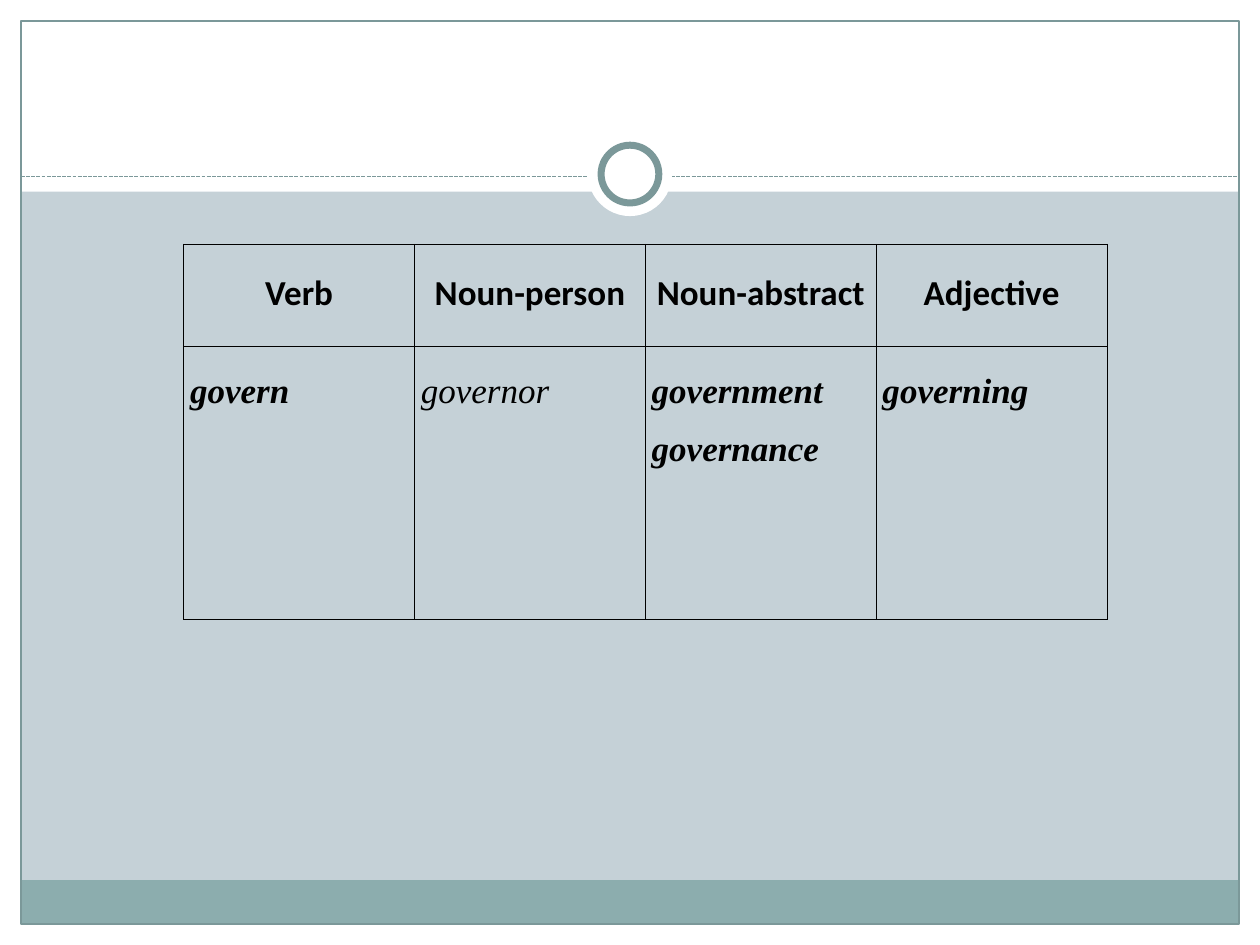
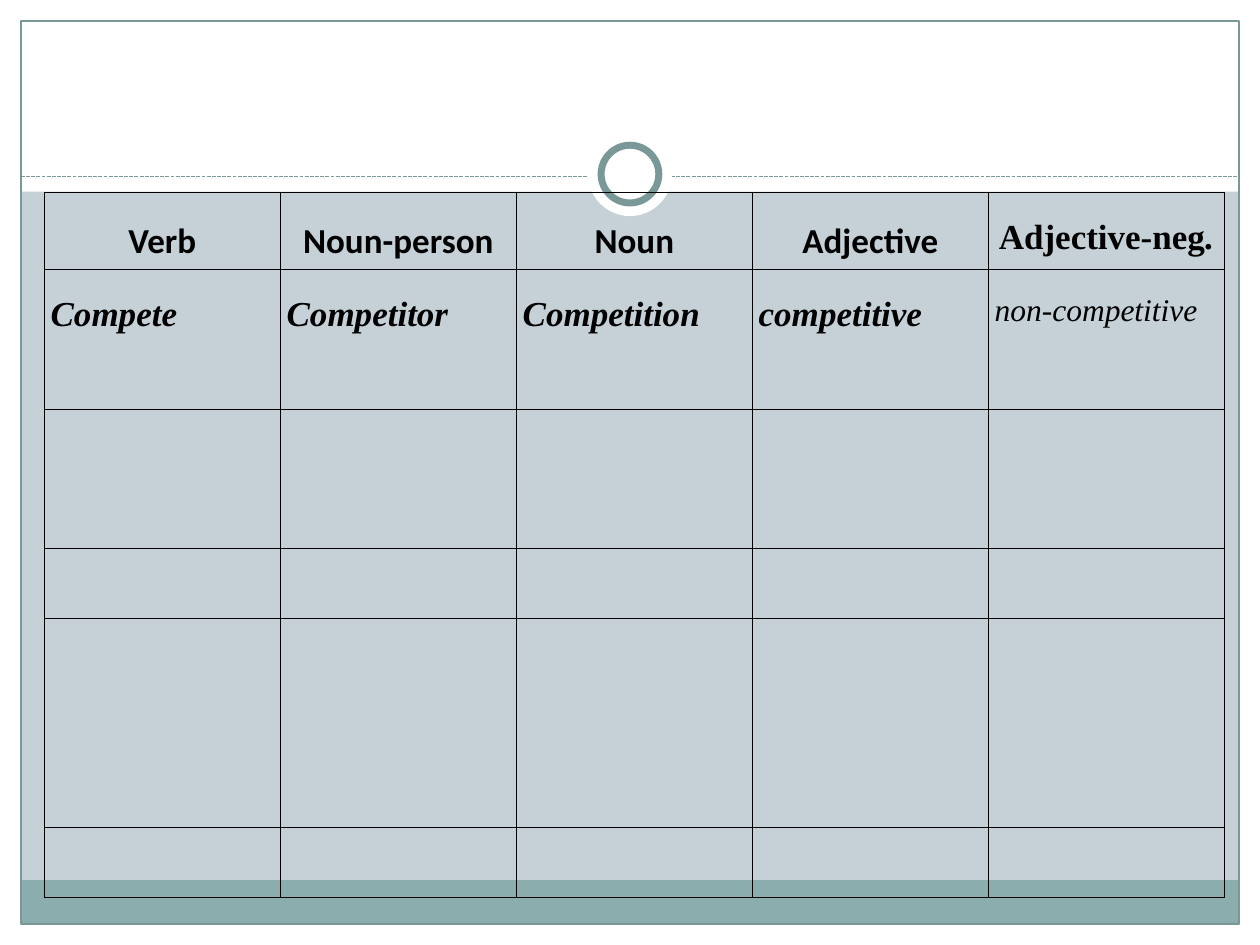
from dataclasses import dataclass
import pptx
import pptx.util
import pptx.dml.color
import pptx.enum.dml
import pptx.enum.shapes
import pptx.enum.text
import pptx.oxml

Pt = pptx.util.Pt
RGBColor = pptx.dml.color.RGBColor
MSO_SHAPE = pptx.enum.shapes.MSO_SHAPE
PP_ALIGN = pptx.enum.text.PP_ALIGN

WHITE = RGBColor(0xFF, 0xFF, 0xFF)
BLACK = RGBColor(0x00, 0x00, 0x00)
BACKGROUND = RGBColor(0xC5, 0xD1, 0xD7)
BAND = RGBColor(0x8C, 0xAD, 0xAE)
ACCENT = RGBColor(0x7B, 0x98, 0x99)

HEAD_FONT = "Calibri"
BODY_FONT = "Times New Roman"
WIDTH, HEIGHT, MARGIN = 720, 540, 12
RULE_Y = 100.8
A_NS = "http://schemas.openxmlformats.org/drawingml/2006/main"


@dataclass(frozen=True)
class Box:
    left: float
    top: float
    width: float
    height: float
    fill: RGBColor | None = None
    line: RGBColor | None = None
    weight: float = 0.75
    kind: MSO_SHAPE = MSO_SHAPE.RECTANGLE


@dataclass(frozen=True)
class Word:
    text: str
    font: str = BODY_FONT
    size: float = 20
    bold: bool = True
    italic: bool = True


@dataclass(frozen=True)
class Cell:
    lines: tuple[tuple[Word, ...], ...]
    align: PP_ALIGN = PP_ALIGN.LEFT


@dataclass(frozen=True)
class WordTable:
    left: float
    top: float
    column_width: float
    row_heights: tuple[float, ...]
    cells: tuple[tuple[Cell, ...], ...]


# Frame shared by the slides, from back to front
MARGINS_AND_BAND = (
    Box(0, HEIGHT - MARGIN, WIDTH, MARGIN, WHITE),
    Box(0, 0, WIDTH, 109.5, WHITE),
    Box(0, 0, MARGIN, HEIGHT, WHITE),
    Box(WIDTH - MARGIN, 0, MARGIN, HEIGHT, WHITE),
    Box(MARGIN, 503, WIDTH - 2 * MARGIN, 25, BAND),
    Box(MARGIN, MARGIN, WIDTH - 2 * MARGIN, HEIGHT - 2 * MARGIN, line=ACCENT),
)
RING = (
    Box(336, 75.5, 48, 48, WHITE, kind=MSO_SHAPE.OVAL),
    Box(343.5, 83, 33, 33, WHITE, ACCENT, 4, MSO_SHAPE.OVAL),
)


def head(text: str) -> Cell:
    return Cell(((Word(text, HEAD_FONT, italic=False),),), PP_ALIGN.CENTER)


def entry(*texts: str, size: float = 20, bold: bool = True) -> Cell:
    return Cell(tuple((Word(t, size=size, bold=bold),) for t in texts))


GOVERN = WordTable(
    105, 139.5, 131.9, (58.3, 156.2),
    (
        tuple(map(head, ("Verb", "Noun-person", "Noun-abstract", "Adjective"))),
        (entry("govern"), entry("governor", bold=False),
         entry("government", "governance"), entry("governing")),
    ),
)
NEGATIVE_HEAD = Cell(
    ((Word("Adjective-neg", italic=False), Word(".")),), PP_ALIGN.CENTER)
COMPETE = WordTable(
    25.3, 110, 134.9, (39.8, 79.8, 79.8, 39.8, 119.6, 39.8),
    (
        (*map(head, ("Verb", "Noun-person", "Noun", "Adjective")), NEGATIVE_HEAD),
        (*map(entry, ("Compete", "Competitor", "Competition", "competitive")),
         entry("non-competitive", size=18, bold=False)),
    ),
)


def add_text(p, text: str, *, font: str, size: float, bold: bool,
             italic: bool, color: RGBColor = BLACK) -> None:
    r = p.add_run()
    r.text = text
    r.font.name = font
    r.font.size = Pt(size)
    r.font.bold = bold
    r.font.italic = italic
    r.font.color.rgb = color


def add_box(s, box: Box) -> None:
    sp = s.shapes.add_shape(box.kind, Pt(box.left), Pt(box.top),
                            Pt(box.width), Pt(box.height))
    sp.shadow.inherit = False
    if box.fill is None:
        sp.fill.background()
    else:
        sp.fill.solid()
        sp.fill.fore_color.rgb = box.fill
    if box.line is None:
        sp.line.fill.background()
    else:
        sp.line.color.rgb = box.line
        sp.line.width = Pt(box.weight)


def add_dashed_rule(s) -> None:
    cxn = s.shapes.add_connector(
        pptx.enum.shapes.MSO_CONNECTOR.STRAIGHT,
        Pt(MARGIN), Pt(RULE_Y), Pt(WIDTH - MARGIN), Pt(RULE_Y))
    cxn.line.color.rgb = ACCENT
    cxn.line.width = Pt(0.75)
    cxn.line.dash_style = pptx.enum.dml.MSO_LINE.SQUARE_DOT
    cxn._element.spPr.append(pptx.oxml.parse_xml(f'<a:effectLst xmlns:a="{A_NS}"/>'))


def add_borders(cell, weight: float = 0.45) -> None:
    tcPr = cell._tc.get_or_add_tcPr()
    for i, side in enumerate("LRTB"):
        tcPr.insert(i, pptx.oxml.parse_xml(
            f'<a:ln{side} xmlns:a="{A_NS}" w="{int(Pt(weight))}"><a:solidFill>'
            f'<a:srgbClr val="{BLACK}"/></a:solidFill></a:ln{side}>'))


def fill_cell(cell, content: Cell) -> None:
    cell.margin_left = cell.margin_right = Pt(3.6)
    cell.margin_top = cell.margin_bottom = Pt(3.6)
    tf = cell.text_frame
    for i, line in enumerate(content.lines):
        p = tf.add_paragraph() if i else tf.paragraphs[0]
        p.alignment = content.align
        p.line_spacing = 1.5
        for word in line:
            add_text(p, word.text, font=word.font, size=word.size,
                     bold=word.bold, italic=word.italic)


def add_word_table(s, spec: WordTable) -> None:
    rows, cols = len(spec.row_heights), len(spec.cells[0])
    table = s.shapes.add_table(
        rows, cols, Pt(spec.left), Pt(spec.top),
        Pt(cols * spec.column_width), Pt(sum(spec.row_heights))).table
    table.first_row = table.horz_banding = False
    for column in table.columns:
        column.width = Pt(spec.column_width)
    for row, height in zip(table.rows, spec.row_heights):
        row.height = Pt(height)
    for cell in table.iter_cells():
        cell.fill.background()
        add_borders(cell)
    for r, contents in enumerate(spec.cells):
        for c, content in enumerate(contents):
            fill_cell(table.cell(r, c), content)


def add_slide(prs, spec: WordTable) -> None:
    s = prs.slides.add_slide(prs.slide_layouts[6])
    for box in MARGINS_AND_BAND:
        add_box(s, box)
    add_dashed_rule(s)
    for box in RING:
        add_box(s, box)
    add_word_table(s, spec)


def main() -> None:
    prs = pptx.Presentation()
    prs.slide_width, prs.slide_height = Pt(WIDTH), Pt(HEIGHT)
    fill = prs.slide_master.background.fill
    fill.solid()
    fill.fore_color.rgb = BACKGROUND
    for spec in (GOVERN, COMPETE):
        add_slide(prs, spec)
    prs.save("out.pptx")


if __name__ == "__main__":
    main()
